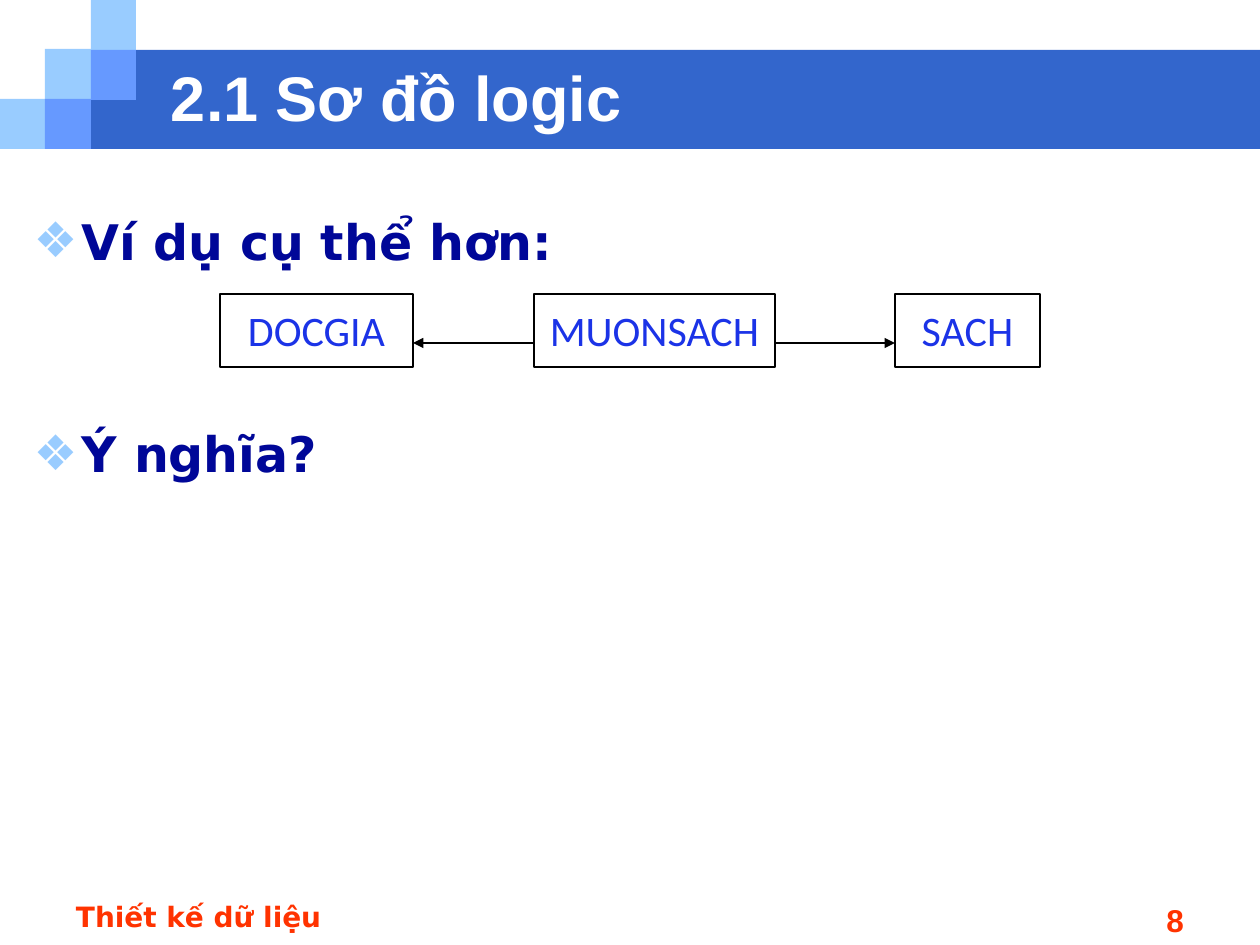
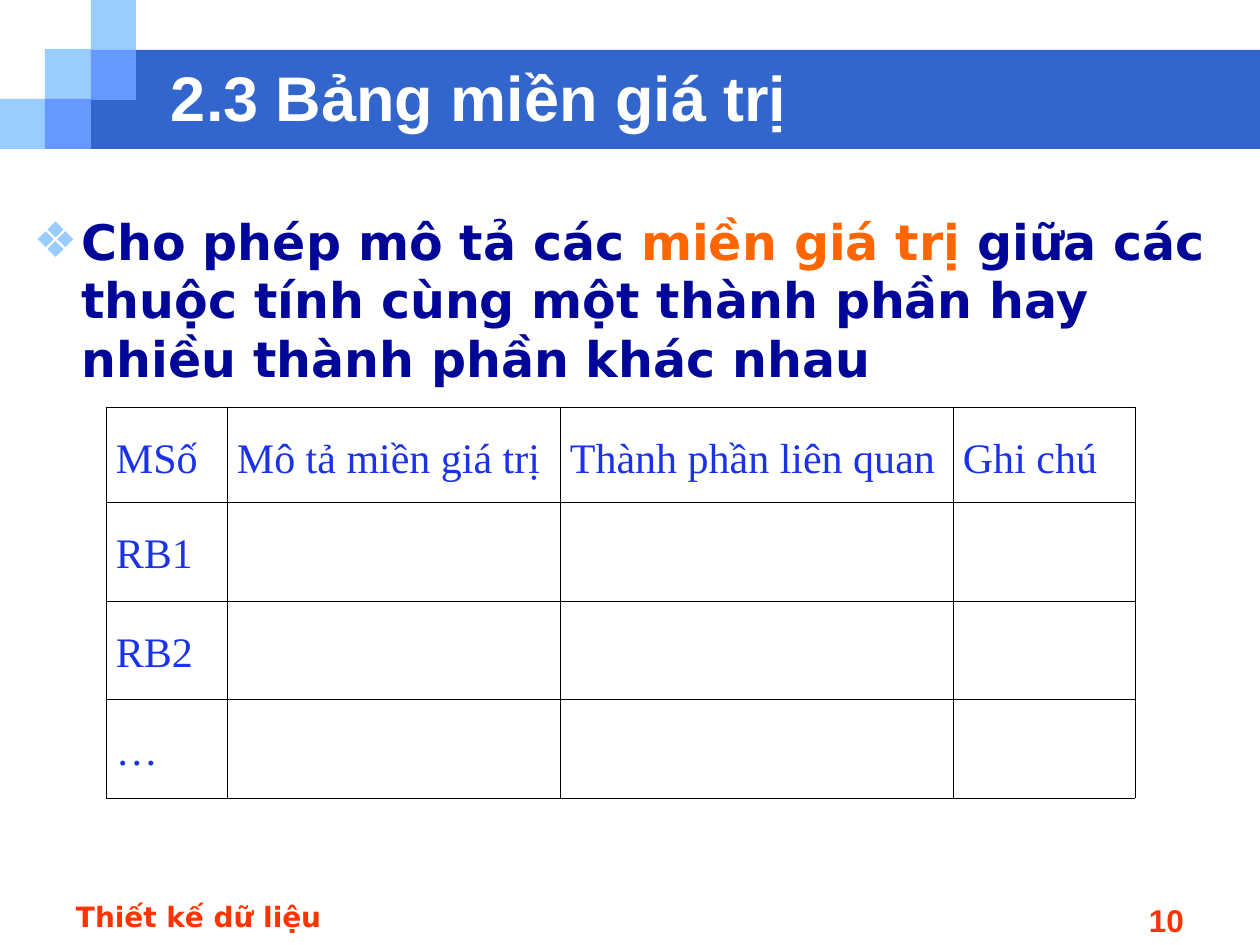
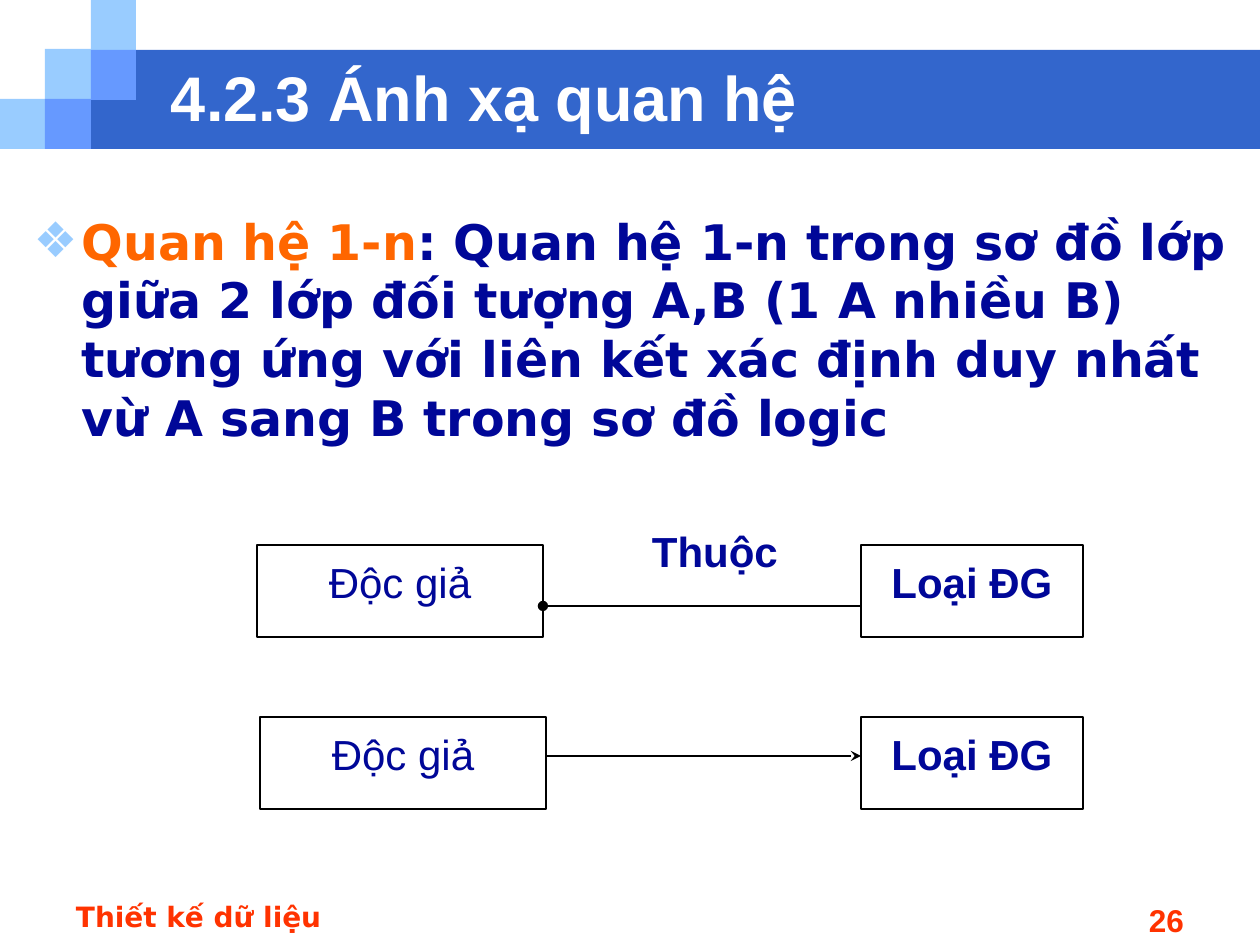
from lxml import etree
from pptx import Presentation, util as u
from pptx.dml.color import RGBColor
from pptx.enum import shapes, text
from pptx.oxml.ns import qn

PX = u.Inches(1) // 126
COLORS = {
    "band": "3366CC", "light": "99CCFF", "mid": "6699FF", "white": "FFFFFF",
    "navy": "000798", "orange": "FF6600", "blue": "1B33E7", "red": "FF3300",
    "black": "000000",
}
BODY_FONT = "DejaVu Sans"
FOOTER = "Thiết kế dữ liệu"
INSETS = (13, 6, 13, 6)
LINE_WIDTH = 0.75

# (left, top, width, height), colour
BANDS = [
    ((91, 50, 1169, 99), "band"),
    ((0, 99, 45, 50), "light"),
    ((45, 49, 46, 50), "light"),
    ((91, 0, 45, 50), "light"),
    ((91, 50, 45, 50), "mid"),
    ((45, 99, 46, 50), "mid"),
]

# Bullets: (space before, [(words, colour), ...])
LOGIC = {
    "title": "2.1 Sơ đồ logic",
    "number": 8,
    "bullets": [
        (0, [("Ví dụ cụ thể hơn:", "navy")]),
        (88, [("Ý nghĩa?", "navy")]),
    ],
}
ENTITIES = [("DOCGIA", 220, 193), ("MUONSACH", 534, 241), ("SACH", 895, 145)]
ENTITY_TOP, ENTITY_HEIGHT, ENTITY_LINE = 294, 73, 343

DOMAINS = {
    "title": "2.3 Bảng miền giá trị",
    "number": 10,
    "bullets": [
        (0, [("Cho phép mô tả các ", "navy"), ("miền giá trị ", "orange"),
             ("giữa các thuộc tính cùng một thành phần hay nhiều thành phần "
              "khác nhau", "navy")]),
    ],
}
DOMAIN_ROWS = [
    ("MSố", "Mô tả miền giá trị", "Thành phần liên quan", "Ghi chú"),
    ("RB1", "", "", ""),
    ("RB2", "", "", ""),
    ("…", "", "", ""),
]
DOMAIN_WIDTHS = (121, 333, 393, 182)
DOMAIN_HEIGHTS = (95, 99, 98, 99)

MAPPING = {
    "title": "4.2.3 Ánh xạ quan hệ",
    "number": 26,
    "bullets": [
        (0, [("Quan hệ 1-n", "orange"),
             (": Quan hệ 1-n trong sơ đồ lớp giữa 2 lớp đối tượng A,B "
              "(1 A nhiều B) tương ứng với liên kết xác định duy nhất vừ A "
              "sang B trong sơ đồ logic", "navy")]),
    ],
}
# left of reader box, top of both boxes, height of the line, line ends
RELATIONS = [
    (257, 545, 606, {"head": "oval"}),
    (260, 717, 756, {"tail": "stealth"}),
]
READER, READER_WIDTH = "Độc giả", 286
KIND, KIND_LEFT, KIND_WIDTH = "Loại ĐG", 861, 222
RELATION_HEIGHT = 92


def rgb(name):
    return RGBColor.from_string(COLORS[name])


def place(shape, area):
    shape.left, shape.top, shape.width, shape.height = (n * PX for n in area)


def add_span(para, words, font=BODY_FONT, size=28, color="navy", bold=False):
    span = para.add_run()
    span.text = words
    span.font.name, span.font.size, span.font.bold = font, u.Pt(size), bold
    span.font.color.rgb = rgb(color)


def set_text(shape, words, align=text.PP_ALIGN.LEFT, anchor=text.MSO_ANCHOR.TOP,
             insets=INSETS, **font):
    frame = shape.text_frame
    frame.word_wrap = True
    frame.auto_size = text.MSO_AUTO_SIZE.NONE
    frame.vertical_anchor = anchor
    (frame.margin_left, frame.margin_top,
     frame.margin_right, frame.margin_bottom) = (n * PX for n in insets)
    para = frame.paragraphs[0]
    para.alignment = align
    add_span(para, words, **font)


def add_label(page, area, words, **style):
    box = page.shapes.add_textbox(0, 0, 0, 0)
    place(box, area)
    set_text(box, words, **style)


def add_rect(page, area, color):
    rect = page.shapes.add_shape(shapes.MSO_SHAPE.RECTANGLE, 0, 0, 0, 0)
    place(rect, area)
    rect.shadow.inherit = False
    rect.fill.solid()
    rect.fill.fore_color.rgb = rgb(color)
    rect.line.fill.background()
    return rect


def add_box(page, area, words, **font):
    box = add_rect(page, area, "white")
    box.line.color.rgb = rgb("black")
    box.line.width = u.Pt(LINE_WIDTH)
    set_text(box, words, align=text.PP_ALIGN.CENTER, insets=(13, 11, 13, 0),
             size=24, **font)


def add_line(page, start, end, y, **ends):
    line = page.shapes.add_connector(shapes.MSO_CONNECTOR.STRAIGHT,
                                     start * PX, y * PX, end * PX, y * PX)
    line.line.color.rgb = rgb("black")
    line.line.width = u.Pt(LINE_WIDTH)
    for side, kind in ends.items():
        etree.SubElement(line.line._get_or_add_ln(), qn(f"a:{side}End"), type=kind)
    etree.SubElement(line._element.spPr, qn("a:effectLst"))


def add_bullet(para):
    props = para._p.get_or_add_pPr()
    props.set("marL", str(48 * PX))
    props.set("indent", str(-48 * PX))
    color = etree.SubElement(props, qn("a:buClr"))
    etree.SubElement(color, qn("a:srgbClr"), val=COLORS["light"])
    etree.SubElement(props, qn("a:buFont"), typeface=BODY_FONT)
    etree.SubElement(props, qn("a:buChar"), char="❖")


def add_page(deck, content):
    page = deck.slides.add_slide(deck.slide_layouts[1])
    title, body = page.placeholders
    place(title, (158, 63, 1018, 67))
    set_text(title, content["title"], anchor=text.MSO_ANCHOR.MIDDLE,
             font="Arial", size=36, color="white", bold=True)

    place(body, (21, 199, 1224, 683))
    frame = body.text_frame
    frame.auto_size = text.MSO_AUTO_SIZE.NONE
    frame.margin_top = 12 * PX
    for index, (gap, spans) in enumerate(content["bullets"]):
        para = frame.add_paragraph() if index else frame.paragraphs[0]
        para.space_before = u.Pt(gap)
        add_bullet(para)
        for words, color in spans:
            add_span(para, words, color=color, bold=True)

    add_label(page, (903, 892, 294, 44), str(content["number"]),
              align=text.PP_ALIGN.RIGHT, insets=(13, 9, 13, 0),
              font="Arial", size=18, color="red", bold=True)
    add_label(page, (63, 892, 399, 44), FOOTER, insets=(13, 8, 13, 0),
              size=16, color="red", bold=True)
    return page


def add_bands(deck, page):
    """Draw the bands and hand them to the master, behind its placeholders."""
    tree = deck.slide_master.shapes._spTree
    for index, (area, color) in enumerate(BANDS):
        tree.insert(2 + index, add_rect(page, area, color)._element)


def add_borders(cell):
    props = cell._tc.get_or_add_tcPr()
    for index, side in enumerate(("lnL", "lnR", "lnT", "lnB")):
        line = etree.Element(qn(f"a:{side}"), w=str(u.Pt(0.45)))
        fill = etree.SubElement(line, qn("a:solidFill"))
        etree.SubElement(fill, qn("a:srgbClr"), val=COLORS["black"])
        props.insert(index, line)


def add_domain_table(page):
    frame = page.shapes.add_table(len(DOMAIN_ROWS), len(DOMAIN_WIDTHS), 0, 0, 0, 0)
    place(frame, (106, 407, sum(DOMAIN_WIDTHS), sum(DOMAIN_HEIGHTS)))
    table = frame.table
    table.first_row = table.horz_banding = False
    for column, width in zip(table.columns, DOMAIN_WIDTHS):
        column.width = width * PX
    for row, height, values in zip(table.rows, DOMAIN_HEIGHTS, DOMAIN_ROWS):
        row.height = height * PX
        for cell, words in zip(row.cells, values):
            cell.fill.background()
            add_borders(cell)
            cell.margin_left = cell.margin_right = 10 * PX
            if words:
                para = cell.text_frame.paragraphs[0]
                para.line_spacing = 1.5
                add_span(para, words, font="Times New Roman", size=24, color="blue")


def add_entities(page):
    for name, left, width in ENTITIES:
        add_box(page, (left, ENTITY_TOP, width, ENTITY_HEIGHT), name,
                font="Calibri", color="blue")
    (_, reader, reader_width), (_, loan, loan_width), (_, book, _) = ENTITIES
    add_line(page, loan, reader + reader_width, ENTITY_LINE, tail="triangle")
    add_line(page, loan + loan_width, book, ENTITY_LINE, tail="triangle")


def add_relations(page):
    for left, top, line_y, ends in RELATIONS:
        add_box(page, (left, top, READER_WIDTH, RELATION_HEIGHT), READER, font="Arial")
        add_box(page, (KIND_LEFT, top, KIND_WIDTH, RELATION_HEIGHT), KIND,
                font="Arial", bold=True)
        add_line(page, left + READER_WIDTH, KIND_LEFT, line_y, **ends)
    add_label(page, (639, 514, 159, 92), "Thuộc", insets=(13, 11, 13, 0),
              font="Arial", size=24, bold=True)


def main():
    deck = Presentation()
    deck.slide_width, deck.slide_height = u.Inches(10), u.Inches(7.5)
    logic, domains, mapping = (add_page(deck, content)
                               for content in (LOGIC, DOMAINS, MAPPING))
    add_bands(deck, logic)
    add_entities(logic)
    add_domain_table(domains)
    add_relations(mapping)
    deck.save("out.pptx")


if __name__ == "__main__":
    main()
